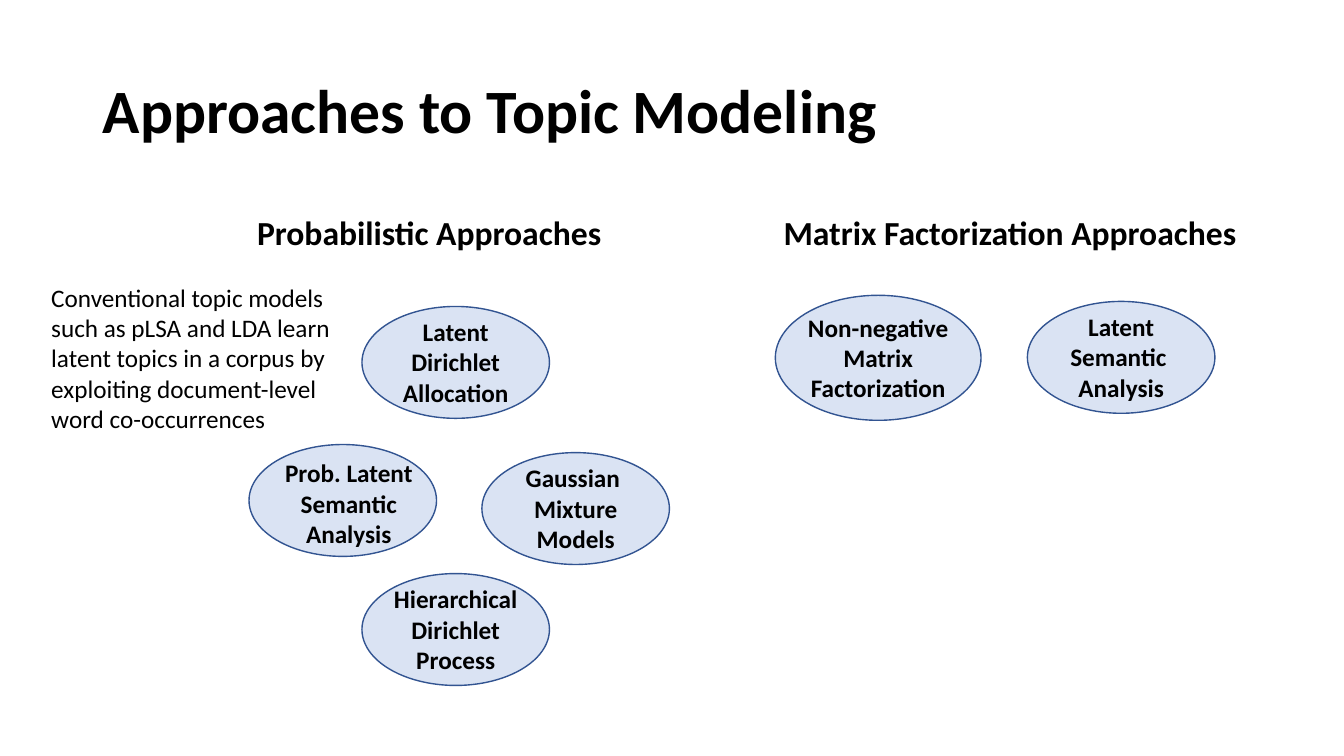
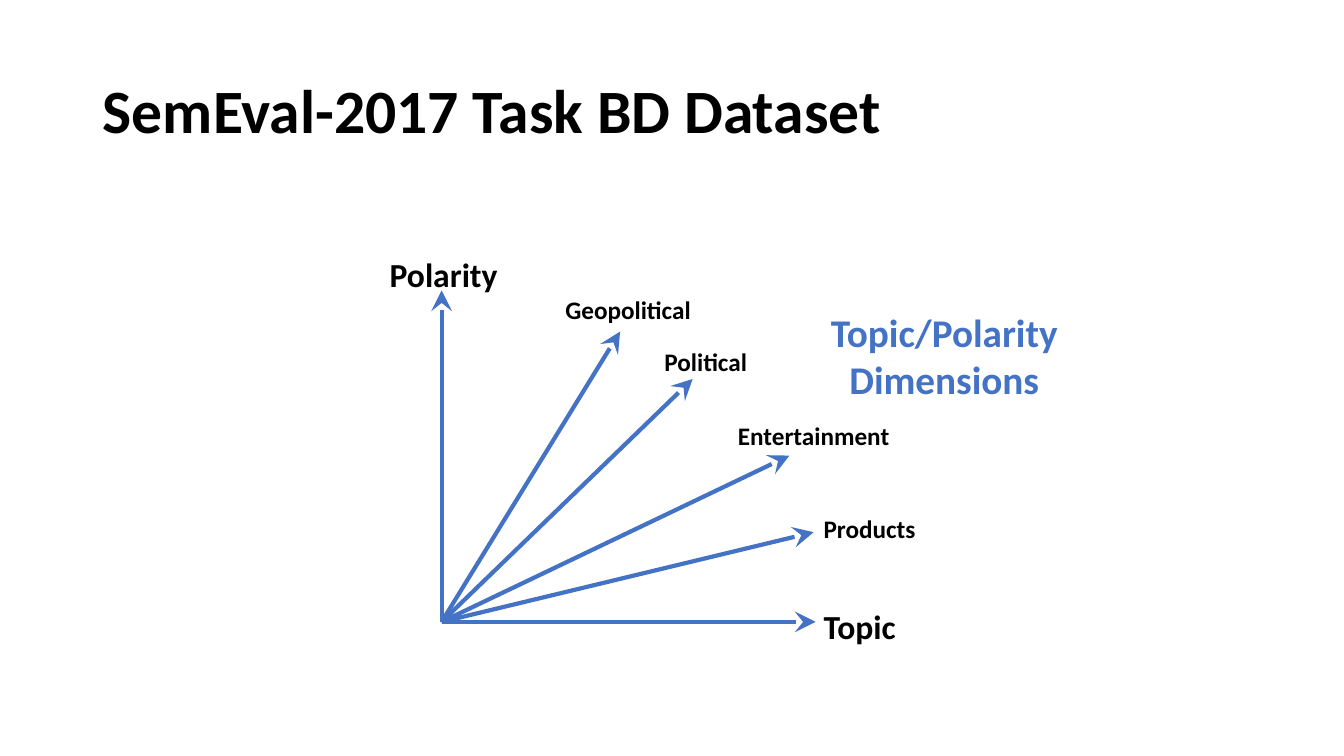
from lxml import etree
from pptx import Presentation
from pptx.dml.color import RGBColor
from pptx.enum.shapes import MSO_CONNECTOR, MSO_SHAPE
from pptx.enum.text import MSO_ANCHOR, MSO_AUTO_SIZE, PP_ALIGN
from pptx.oxml.ns import qn
from pptx.util import Inches, Pt

FONT = "Calibri"
BLACK = "000000"
BLUE = "4472C4"
PALE_BLUE = "DAE3F3"
DARK_BLUE = "325491"


def color(hex_value):
    return RGBColor.from_string(hex_value)


def write(shape, text, size, bold=True, align=PP_ALIGN.CENTER, text_color=BLACK):
    """Fill a shape or placeholder with one formatted, wrapping paragraph."""
    frame = shape.text_frame
    frame.text = text
    frame.word_wrap = True
    frame.auto_size = MSO_AUTO_SIZE.NONE
    paragraph = frame.paragraphs[0]
    paragraph.alignment = align
    font = paragraph.runs[0].font
    font.name, font.size, font.bold = FONT, Pt(size), bold
    font.color.rgb = color(text_color)


prs = Presentation()
prs.slide_width, prs.slide_height = Inches(13.33), Inches(7.5)

slides = []
for heading in ("Approaches to Topic Modeling", "SemEval-2017 Task BD Dataset"):
    slide = prs.slides.add_slide(prs.slide_layouts[5])
    title = slide.shapes.title
    title.left, title.top = Inches(0.92), Inches(0.4)
    title.width, title.height = Inches(11.5), Inches(1.45)
    write(title, heading, 44, align=PP_ALIGN.LEFT)
    title.text_frame.vertical_anchor = MSO_ANCHOR.MIDDLE
    title.text_frame.paragraphs[0].line_spacing = 0.9
    slides.append(slide)
approaches, dataset = slides

# Approaches: two families of methods
for family, left, width in (
    ("Probabilistic Approaches ", 2.43, 3.73),
    ("Matrix Factorization Approaches ", 7.58, 4.95),
):
    family_heading = approaches.shapes.add_textbox(
        Inches(left), Inches(2.05), Inches(width), Inches(0.5))
    write(family_heading, family, 24)

explanation = approaches.shapes.add_textbox(
    Inches(0.41), Inches(2.75), Inches(3.28), Inches(1.62))
write(explanation,
      "Conventional topic models such as pLSA and LDA learn latent topics in a "
      "corpus by exploiting document-level word co-occurrences",
      18, bold=False, align=PP_ALIGN.LEFT)

# Method, ellipse left, top, width, height, label width, label shift right and down
LABEL_WIDTH, LABEL_HEIGHT = 1.48, 1.01
methods = (
    ("Latent Dirichlet Allocation", 3.59, 3.04, 1.86, 1.11, LABEL_WIDTH, 0, 0),
    ("Prob. Latent Semantic Analysis", 2.47, 4.41, 1.86, 1.11, 1.73, 0.06, 0.03),
    ("Gaussian  Mixture Models", 4.78, 4.49, 1.86, 1.11, LABEL_WIDTH, 0, 0),
    ("Latent Semantic  Analysis", 10.19, 2.99, 1.86, 1.11, LABEL_WIDTH, 0, 0),
    ("Non-negative Matrix Factorization", 7.69, 2.93, 2.04, 1.24, 1.84, 0, 0),
    ("Hierarchical Dirichlet Process", 3.59, 5.69, 1.86, 1.11, LABEL_WIDTH, 0, 0),
)
for method, left, top, width, height, label_width, shift_x, shift_y in methods:
    group = approaches.shapes.add_group_shape()
    ellipse = group.shapes.add_shape(
        MSO_SHAPE.OVAL, Inches(left), Inches(top), Inches(width), Inches(height))
    ellipse.shadow.inherit = False
    ellipse.fill.solid()
    ellipse.fill.fore_color.rgb = color(PALE_BLUE)
    ellipse.line.color.rgb = color(DARK_BLUE)
    ellipse.line.width = Pt(1)
    label = group.shapes.add_textbox(
        Inches(left + (width - label_width) / 2 + shift_x),
        Inches(top + (height - LABEL_HEIGHT) / 2 + shift_y),
        Inches(label_width), Inches(LABEL_HEIGHT))
    write(label, method, 18)

# Dataset: topics as rays between the topic and polarity axes
diagram = dataset.shapes.add_group_shape()
ORIGIN_X, ORIGIN_Y = 4.38, 6.17
CENTER, LEFT = PP_ALIGN.CENTER, PP_ALIGN.LEFT
# Name, arrow tip x, y, label left, top, width, height, size, alignment
rays = (
    ("Polarity", 4.38, 2.88, 3.53, 2.47, 1.74, 0.5, 24, CENTER),
    ("Topic", 8.09, 6.17, 8.07, 5.96, 1.06, 0.5, 24, LEFT),
    ("Entertainment", 7.83, 4.52, 7.2, 4.12, 1.74, 0.4, 18, CENTER),
    ("Political", 6.87, 3.76, 6.13, 3.39, 1.74, 0.4, 18, CENTER),
    ("Geopolitical", 6.15, 3.29, 5.36, 2.87, 1.74, 0.4, 18, CENTER),
    ("Products", 8.07, 5.28, 8.07, 5.04, 1.74, 0.4, 18, LEFT),
)
for name, tip_x, tip_y, left, top, width, height, size, align in rays:
    arrow = diagram.shapes.add_connector(
        MSO_CONNECTOR.STRAIGHT, Inches(tip_x), Inches(tip_y),
        Inches(ORIGIN_X), Inches(ORIGIN_Y))
    arrow.line.color.rgb = color(BLUE)
    arrow.line.width = Pt(3)
    etree.SubElement(arrow.get_or_add_ln(), qn("a:headEnd"),
                     type="stealth", w="lg", len="lg")
    etree.SubElement(arrow.element.spPr, qn("a:effectLst"))
    ray_label = diagram.shapes.add_textbox(
        Inches(left), Inches(top), Inches(width), Inches(height))
    write(ray_label, name, size, align=align)

caption = dataset.shapes.add_textbox(
    Inches(8.07), Inches(3.01), Inches(2.59), Inches(1.04))
write(caption, "Topic/Polarity Dimensions", 28, text_color=BLUE)

prs.save("out.pptx")
